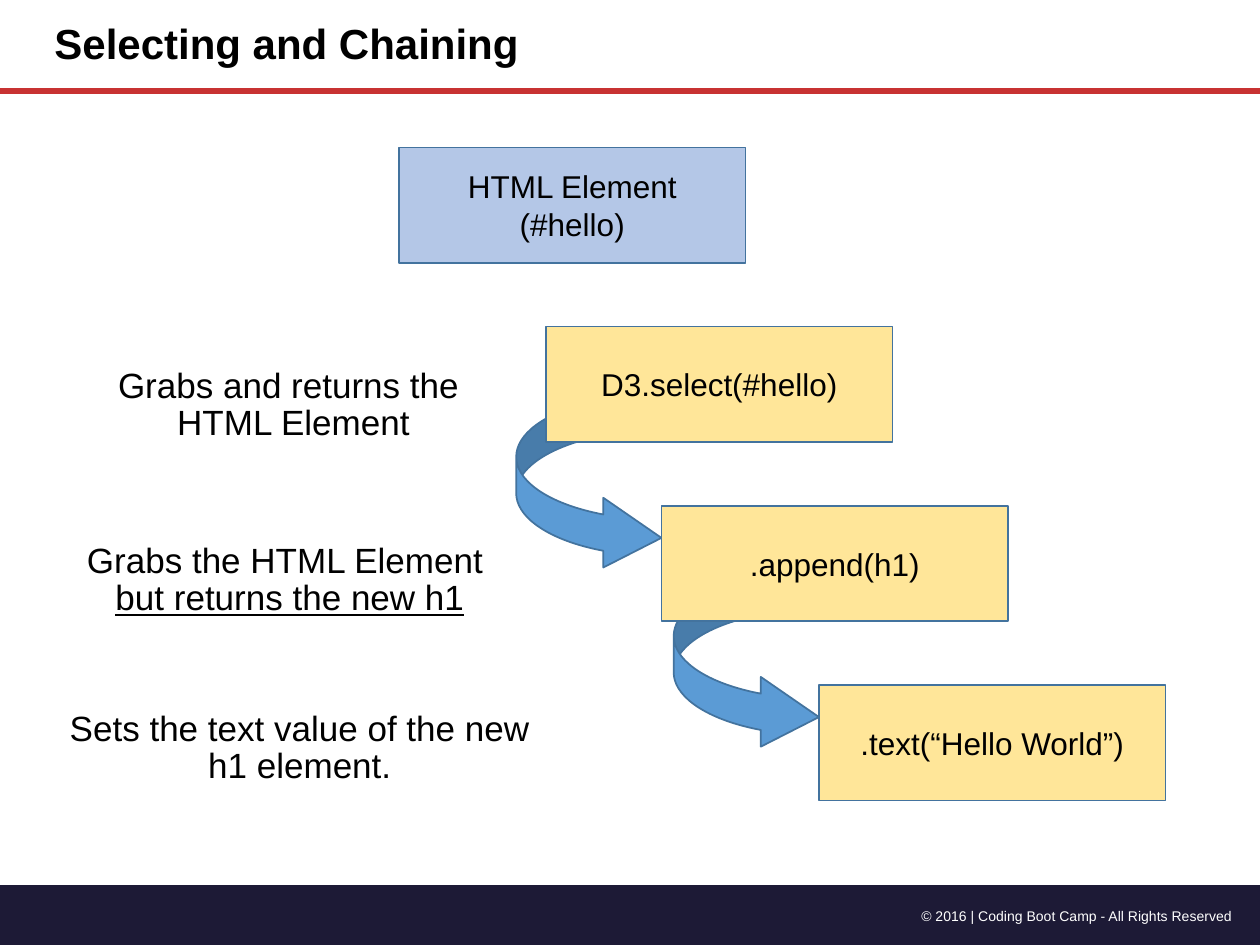
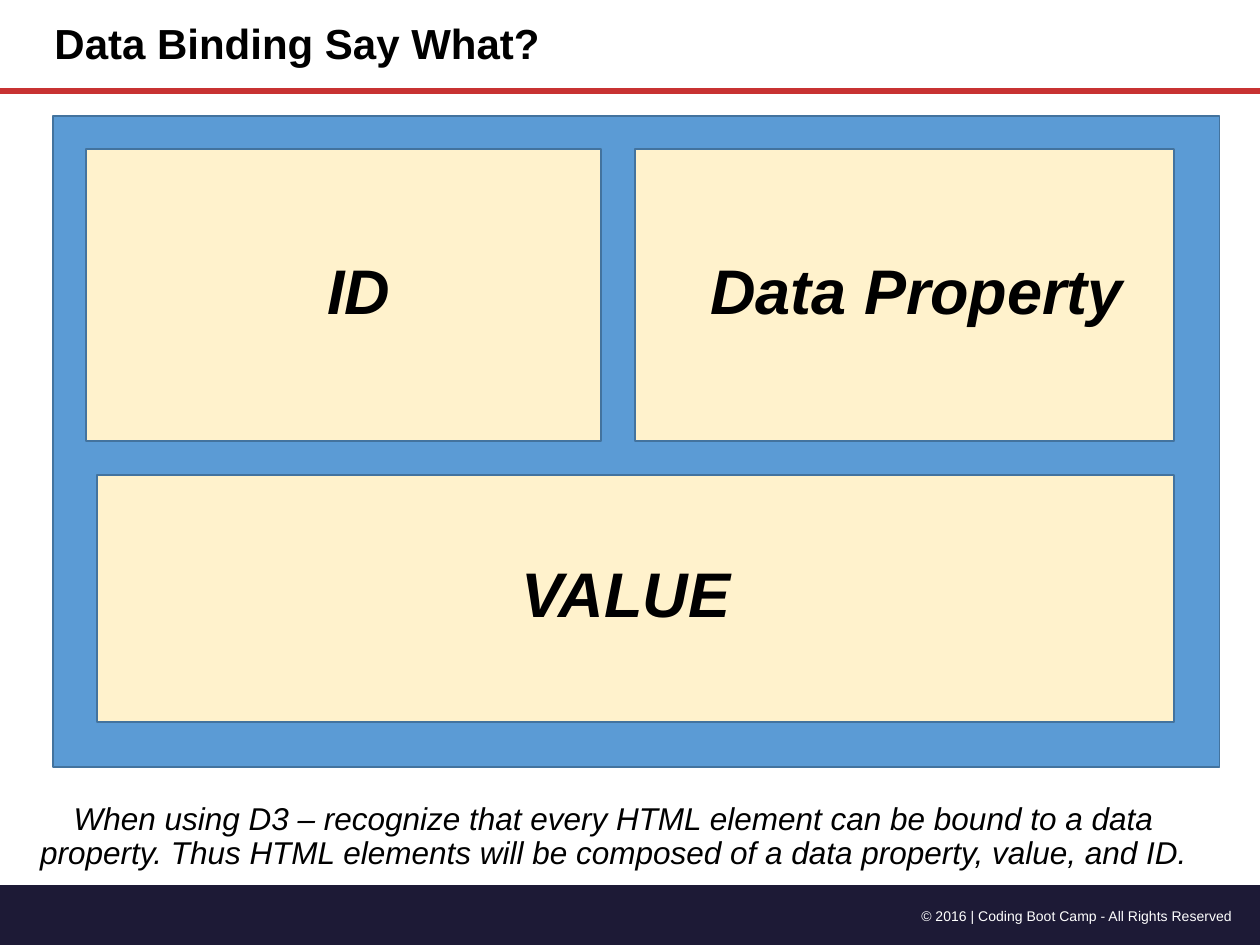
from collections import namedtuple

from lxml.etree import SubElement
from pptx import Presentation
from pptx.dml.color import RGBColor
from pptx.enum.shapes import MSO_CONNECTOR, MSO_SHAPE
from pptx.enum.text import MSO_ANCHOR, MSO_AUTO_SIZE, PP_ALIGN
from pptx.oxml.ns import qn
from pptx.util import Pt

Box = namedtuple("Box", "left top width height")

COLORS = {
    "black": "000000", "white": "FFFFFF", "navy": "1D1A36", "red": "C83232",
    "blue": "5B9BD5", "outline": "43739E", "pale blue": "B4C7E7",
    "yellow": "FFE699", "cream": "FFF2CC",
}
FONT = "Arial"
WIDTH, HEIGHT = 720, 540
STEP_SIZE = (198, 66)
ARROW_SIZE = (83, 102.24)
ARROW_RISE = 64
INDENT = 18


def color(name):
    return RGBColor.from_string(COLORS[name])


def points(box):
    return [Pt(length) for length in box]


def inside(region, left, top, width, height):
    """Turn a place relative to the region into a place on the slide."""
    return Box(region.left + left, region.top + top, width, height)


def write(shape, lines, size, ink="black", align=PP_ALIGN.LEFT,
          anchor=MSO_ANCHOR.TOP, spacing=None, indent=0, wrap=True, grow=False,
          **style):
    """Fill a shape with paragraphs; a line is text or (text, extra style)."""
    frame = shape.text_frame
    frame.word_wrap = wrap
    frame.vertical_anchor = anchor
    if grow:
        frame.auto_size = MSO_AUTO_SIZE.SHAPE_TO_FIT_TEXT
    for index, line in enumerate(lines):
        text, extra = (line, {}) if isinstance(line, str) else line
        paragraph = frame.paragraphs[0] if index == 0 else frame.add_paragraph()
        paragraph.alignment = align
        if spacing:
            paragraph.line_spacing = spacing
        if indent:
            paragraph._p.get_or_add_pPr().set("marL", str(Pt(indent)))
        run = paragraph.add_run()
        run.text = text
        run.font.color.rgb = color(ink)
        formats = {"name": FONT, "size": Pt(size), **style, **extra}
        for attribute, value in formats.items():
            setattr(run.font, attribute, value)


def add_text(slide, box, lines, size, **options):
    write(slide.shapes.add_textbox(*points(box)), lines, size, **options)


def add_block(slide, box, fill, kind=MSO_SHAPE.RECTANGLE, outline="outline"):
    block = slide.shapes.add_shape(kind, *points(box))
    block.shadow.inherit = False
    block.fill.solid()
    block.fill.fore_color.rgb = color(fill)
    if outline:
        block.line.color.rgb = color(outline)
        block.line.width = Pt(1)
    else:
        block.line.fill.background()
    return block


def add_footer(slide, band):
    add_block(slide, band, "navy", MSO_SHAPE.FLOWCHART_PROCESS, outline=None)
    add_text(slide, inside(band, 491.76, 9.36, 219.6, 17.28),
             ["© 2016 | Coding Boot Camp - All Rights Reserved"], 8,
             ink="white", align=PP_ALIGN.RIGHT, grow=True)


def add_header(slide, header, title):
    bottom = Pt(header.top + header.height)
    rule = slide.shapes.add_connector(
        MSO_CONNECTOR.STRAIGHT, Pt(header.left), bottom,
        Pt(header.left + header.width), bottom)
    rule.line.color.rgb = color("red")
    rule.line.width = Pt(3.25)
    SubElement(rule._element.spPr, qn("a:effectLst"))
    add_text(slide, inside(header, 24, 0, 430, header.height), [title], 24,
             anchor=MSO_ANCHOR.MIDDLE, spacing=0.9, bold=True)


def new_slide(deck, title):
    slide = deck.slides.add_slide(deck.slide_layouts[6])
    add_footer(slide, Box(0, 505.44, WIDTH, HEIGHT - 505.44))
    add_header(slide, Box(0, 0, WIDTH, 51.84), title)
    return slide


def add_step(slide, left, top, text, fill="yellow"):
    step = add_block(slide, Box(left, top, *STEP_SIZE), fill)
    write(step, [text], 18, align=PP_ALIGN.CENTER, anchor=MSO_ANCHOR.MIDDLE)


def add_chain(slide, region):
    """Draw method calls as a staircase, each arrow ending at the next call."""
    calls = [(84, "D3.select(#hello)"), (150, ".append(h1)"),
             (240, ".text(“Hello World”)")]
    steps = [inside(region, left, 102.4 * (row + 1), *STEP_SIZE)
             for row, (left, _) in enumerate(calls)]
    for target in reversed(steps[1:]):
        arrow = add_block(
            slide, inside(target, -ARROW_SIZE[0], -ARROW_RISE, *ARROW_SIZE),
            "blue", MSO_SHAPE.CURVED_RIGHT_ARROW)
        for index, amount in enumerate((0.25, 0.48, 0.4)):
            arrow.adjustments[index] = amount
    add_step(slide, region.left, region.top, "HTML Element (#hello)", "pale blue")
    for step, (_, call) in zip(steps, calls):
        add_step(slide, step.left, step.top, call)


def add_explanations(slide, column):
    explanations = [
        (5, 0, ["Grabs and returns the ", "HTML Element"]),
        (3, 100, ["Grabs the HTML Element ",
                  ("but returns the new h1", {"underline": True})]),
        (8.6, 196, ["Sets the text value of the new h1 element."]),
    ]
    for left, top, lines in explanations:
        add_text(slide, inside(column, left, top, column.width, 43.2), lines, 20,
                 align=PP_ALIGN.CENTER, spacing=0.9, indent=INDENT)


def add_element_panel(slide, panel):
    add_block(slide, panel, "blue")
    upper_top, upper_height, label_height = 18.72, 167.04, 51.12
    cells = [(25.2, 205.2, 615.6, 141.12),
             (18.72, upper_top, 294.48, upper_height),
             (332.64, upper_top, 308.16, upper_height)]
    labels = [("VALUE", 260.64, 247, 135.36, PP_ALIGN.LEFT),
              ("Data Property", 367.2, 74.16, 252.72, PP_ALIGN.CENTER),
              ("ID", 149.76, 74.16, 51.12, PP_ALIGN.LEFT)]
    for cell in cells:
        add_block(slide, inside(panel, *cell), "cream")
    for text, left, top, width, align in labels:
        add_text(slide, inside(panel, left, top, width, label_height), [text], 36,
                 align=align, wrap=False, grow=True, bold=True, italic=True)


def add_takeaway(slide, box):
    add_text(slide, box,
             ["When using D3 – recognize that every HTML element can be bound "
              "to a data property. Thus HTML elements will be composed of a "
              "data property, value, and ID."],
             18, align=PP_ALIGN.CENTER, spacing=0.9, indent=INDENT, italic=True)


def main():
    deck = Presentation()
    deck.slide_width, deck.slide_height = Pt(WIDTH), Pt(HEIGHT)

    chaining = new_slide(deck, "Selecting and Chaining")
    add_chain(chaining, Box(228, 84.24, 438, 373))
    add_explanations(chaining, Box(0, 206.64, 307.44, 239))

    binding = new_slide(deck, "Data Binding Say What?")
    add_takeaway(binding, Box(-12.24, 455.76, 707.76, 84.24))
    add_element_panel(binding, Box(30.24, 66.24, 666.72, 372.24))

    deck.save("out.pptx")


if __name__ == "__main__":
    main()
